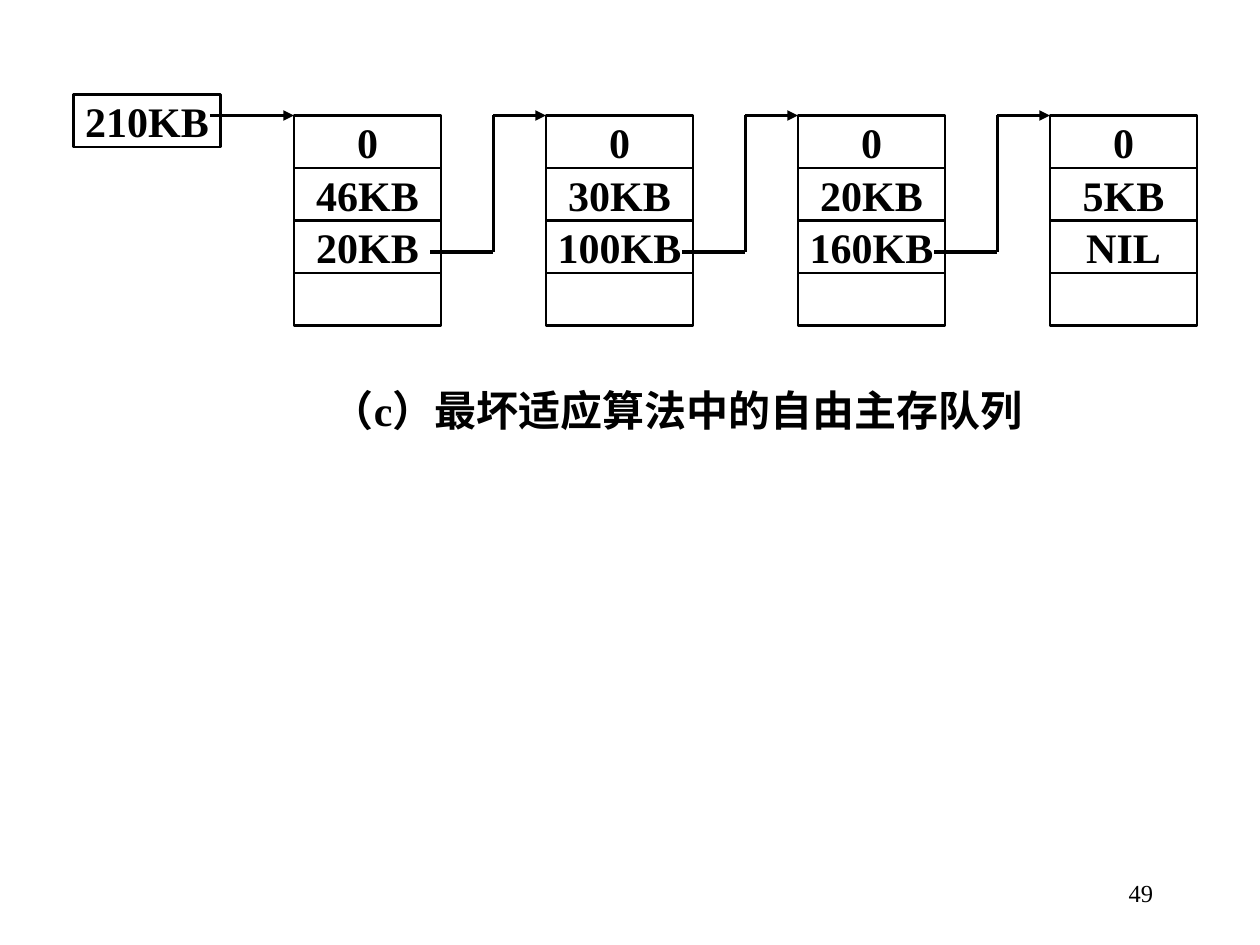
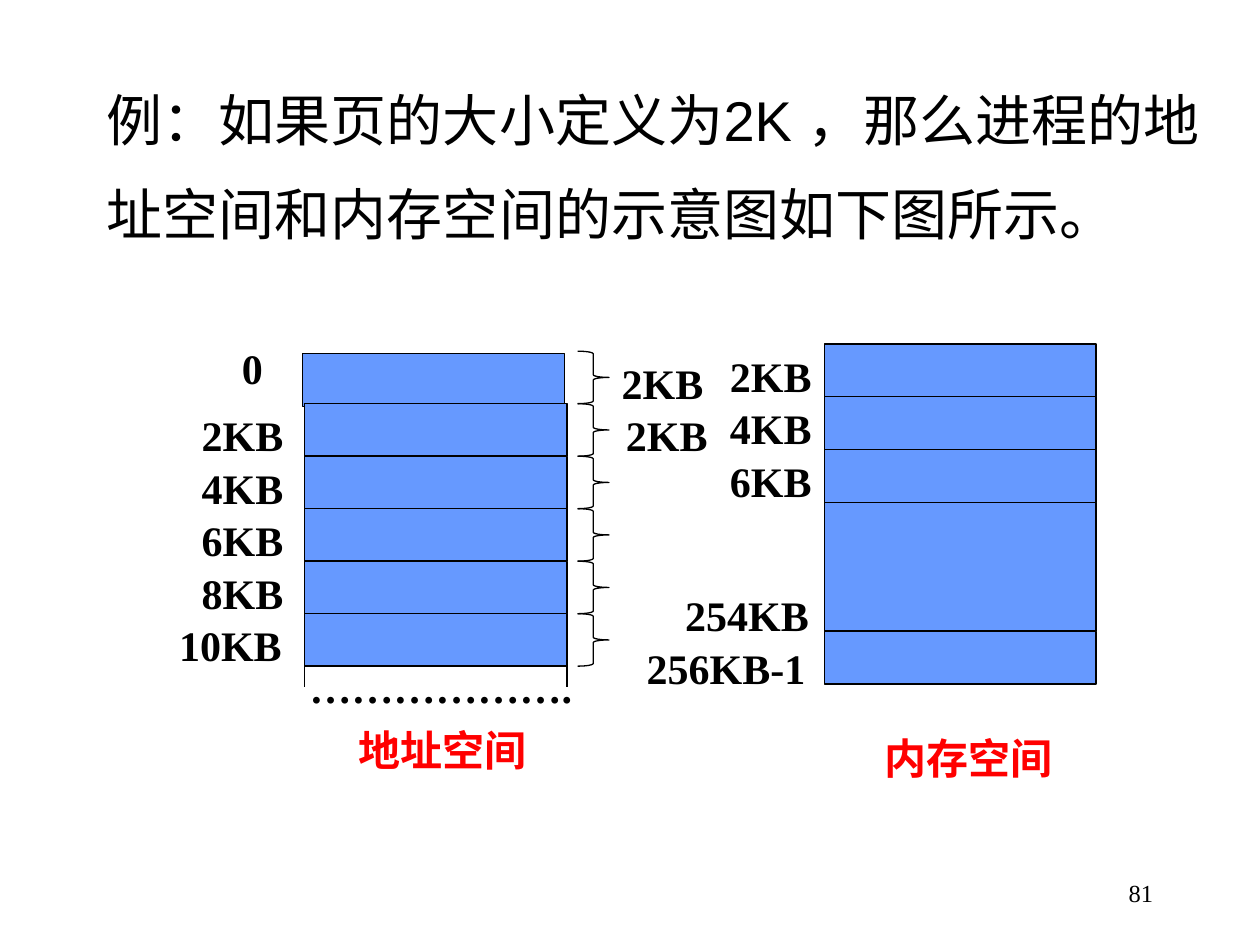
from lxml import etree
from pptx import Presentation
from pptx import util as u
from pptx.dml.color import RGBColor
from pptx.enum import shapes, text
from pptx.oxml.ns import qn

COLORS = {"ink": "000000", "paper": "FFFFFF", "block": "6699FF", "caption": "FF0000"}
SERIF, SANS = "Times New Roman", "Arial"
COLS, ROWS = 120, 90
WIDTH, HEIGHT = u.Inches(10), u.Inches(7.5)
LINE_H = 6
LABEL_COLS = {1: 4.3, 3: 10.2, 4: 12.5, 5: 14.2, 7: 17.5}
CENTER, RIGHT, LEFT = text.PP_ALIGN.CENTER, text.PP_ALIGN.RIGHT, text.PP_ALIGN.LEFT
TOP, MIDDLE = text.MSO_ANCHOR.TOP, text.MSO_ANCHOR.MIDDLE


def rgb(name):
    """Return the named colour."""
    return RGBColor.from_string(COLORS[name])


def grid(x, y):
    """Turn a column and a row into a slide position or size."""
    return round(WIDTH * x / COLS), round(HEIGHT * y / ROWS)


def write(sp, content, size=24, bold=True, color="ink", font=SERIF,
          align=CENTER, anchor=TOP, wrap=True, grow=False, spacing=None):
    """Write one run of styled text into a shape."""
    tf = sp.text_frame
    tf.word_wrap, tf.vertical_anchor = wrap, anchor
    if grow:
        tf.auto_size = text.MSO_AUTO_SIZE.SHAPE_TO_FIT_TEXT
    p = tf.paragraphs[0]
    p.alignment, p.line_spacing = align, spacing
    r = p.add_run()
    r.text = content
    r.font.size, r.font.bold, r.font.name = u.Pt(size), bold, font
    r.font.color.rgb = rgb(color)


def add_text(s, box, content, **style):
    """Add a text box on the grid."""
    x, y, w, h = box
    write(s.shapes.add_textbox(*grid(x, y), *grid(w, h)), content, **style)


def add_label(s, right, y, content):
    """Add an address label that ends at the given column."""
    w = LABEL_COLS[len(content)]
    add_text(s, (right - w, y, w, LINE_H), content, wrap=False, grow=True)


def add_block(s, box, fill, weight, kind=shapes.MSO_SHAPE.RECTANGLE):
    """Add an outlined shape, unfilled when fill is None."""
    x, y, w, h = box
    sp = s.shapes.add_shape(kind, *grid(x, y), *grid(w, h))
    sp.shadow.inherit = False
    if fill:
        sp.fill.solid()
        sp.fill.fore_color.rgb = rgb(fill)
    else:
        sp.fill.background()
    sp.line.color.rgb, sp.line.width = rgb("ink"), u.Pt(weight)
    return sp


def add_line(s, start, end, weight, arrow=False):
    """Draw a straight line, with an arrowhead if asked."""
    c = s.shapes.add_connector(shapes.MSO_CONNECTOR.STRAIGHT, *grid(*start), *grid(*end))
    c.line.color.rgb, c.line.width = rgb("ink"), u.Pt(weight)
    if arrow:
        etree.SubElement(c._element.spPr.find(qn("a:ln")), qn("a:tailEnd"), type="triangle")
    etree.SubElement(c._element.spPr, qn("a:effectLst"))


def add_cell(s, box, content):
    """Add a white queue cell with its value."""
    sp = add_block(s, box, "paper", 1.5)
    if content:
        write(sp, content, anchor=MIDDLE, wrap=False)


def add_slide(prs, number):
    """Add a blank slide with its page number."""
    s = prs.slides.add_slide(prs.slide_layouts[6])
    add_text(s, (86, 82, 25, 6), number, size=14, bold=False, align=RIGHT, anchor=MIDDLE)
    return s


def free_queue(s, box, head, nodes):
    """Draw a linked queue: its head cell, then one column of cells per node."""
    x, y, w, h = box
    cell_w, cell_h, pitch = 14, h / 4.4, 24
    first, top = x + w - cell_w - pitch * (len(nodes) - 1), y + 2
    add_cell(s, (x, y, cell_w, cell_h), head)
    for i, node in enumerate(nodes):
        for j, value in enumerate(node):
            add_cell(s, (first + i * pitch, top + j * cell_h, cell_w, cell_h), value)
    add_line(s, (x + cell_w - 1, top), (first, top), 2, arrow=True)
    for i in range(len(nodes) - 1):
        left = first + i * pitch
        turn, low = left + 19, top + 2.6 * cell_h
        add_line(s, (left + cell_w - 1, low), (turn, low), 2)
        add_line(s, (turn, low), (turn, top), 2)
        add_line(s, (turn, top), (left + pitch, top), 2, arrow=True)


def address_space(s, box, labels, page_sizes):
    """Draw the process pages with addresses, braces and a caption."""
    x, y, w, h = box
    row = h / len(labels)
    add_block(s, (x - 0.2, y + 0.25, w, row), "block", 0.75)
    add_label(s, x - 2.85, y - 1.4, labels[0])
    for i, label in enumerate(labels[1:], 1):
        add_block(s, (x, y + i * row, w, row), "block", 0.75)
        add_label(s, x - 0.8, y + i * row, label)
    for i in range(len(labels)):
        add_block(s, (x + w + 1, y + i * row, 3, row), None, 0.75,
                  shapes.MSO_SHAPE.RIGHT_BRACE)
    for i, size in enumerate(page_sizes):
        add_label(s, x + w + 14.2 + 0.4 * i, y + i * row, size)
    for edge in (x, x + w):
        add_line(s, (edge, y + h), (edge, y + h + 2), 0.75)
    add_text(s, (x - 2, y + h - 1.05, w + 5, LINE_H), "……………….")
    add_text(s, (x + 2, y + h + 4.95, 22.3, LINE_H), "地址空间", color="caption")


def memory_space(s, box, low_labels, high_labels):
    """Draw the memory blocks with addresses and a caption."""
    x, y, w, h = box
    row = h / 6.43
    heights = [row] * 3 + [h - 4 * row, row]
    for i, height in enumerate(heights):
        add_block(s, (x, y + sum(heights[:i]), w, height), "block", 0.75)
    for i, label in enumerate(low_labels):
        add_label(s, x, y + i * row, label)
    for i, label in enumerate(high_labels):
        add_label(s, x - 0.25 - 0.35 * i, y + h - 9.6 + i * row, label)
    add_text(s, (x + 4.2, y + h + 4, 19.1, LINE_H), "内存空间", color="caption")


def queue_slide(prs):
    """Build the worst-fit queue slide."""
    s = add_slide(prs, "49")
    add_text(s, (27, 36, 75, LINE_H), "（c）最坏适应算法中的自由主存队列")
    free_queue(s, (7, 9, 107, 22), "210KB", [
        ("0", "46KB", "20KB", ""),
        ("0", "30KB", "100KB", ""),
        ("0", "20KB", "160KB", ""),
        ("0", "5KB", "NIL", ""),
    ])


def paging_slide(prs):
    """Build the paging example slide."""
    s = add_slide(prs, "81")
    add_text(s, (9, 7, 108, 15),
             "例：如果页的大小定义为2K ，那么进程的地址空间和内存空间的示意图如下图所示。",
             size=32, bold=False, font=SANS, align=LEFT, anchor=MIDDLE, spacing=1.4)
    address_space(s, (29, 33.45, 25, 30),
                  ("0", "2KB", "4KB", "6KB", "8KB", "10KB"), ("2KB", "2KB"))
    memory_space(s, (78.5, 32.75, 25.9, 32.4),
                 ("2KB", "4KB", "6KB"), ("254KB", "256KB-1"))


def main():
    """Build both slides and save them."""
    prs = Presentation()
    prs.slide_width, prs.slide_height = WIDTH, HEIGHT
    queue_slide(prs)
    paging_slide(prs)
    prs.save("out.pptx")


if __name__ == "__main__":
    main()
